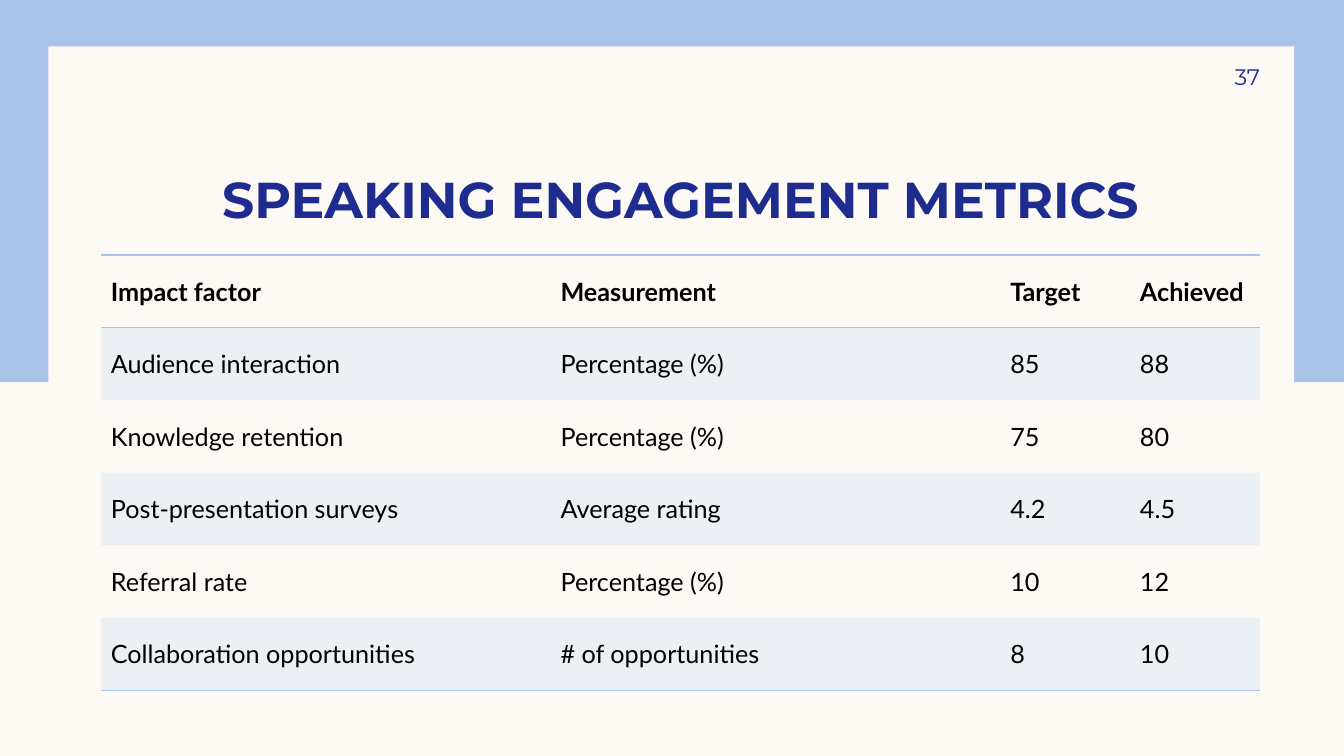
import dataclasses

import lxml.etree
import pptx
import pptx.dml.color
import pptx.enum.shapes
import pptx.enum.text
import pptx.oxml.ns
import pptx.util

# The slide is a grid of square cells; boxes are (left, top, columns, rows).
GRID_COLUMNS, GRID_ROWS = 80, 45
CELL = pptx.util.Inches(7.5) / GRID_ROWS

BAND_BOX = (0, 0, GRID_COLUMNS, 22.74)
PANEL_BOX = (2.88, 2.76, 74.16, 39.54)
TITLE_BOX = (6, 6.96, 69, 6.66)
NUMBER_BOX = (67.98, 3, 7.02, 3.12)
TABLE_ORIGIN = (6, 15.18)
TABLE_COLUMNS = (26.77, 26.77, 7.72, 7.72)
TABLE_ROW = 4.32

METRICS = (
    ("Impact factor", "Measurement", "Target", "Achieved"),
    ("Audience interaction", "Percentage (%)", "85", "88"),
    ("Knowledge retention", "Percentage (%)", "75", "80"),
    ("Post-presentation surveys", "Average rating", "4.2", "4.5"),
    ("Referral rate", "Percentage (%)", "10", "12"),
    ("Collaboration opportunities", "# of opportunities", "8", "10"),
)


@dataclasses.dataclass(frozen=True)
class Theme:
    paper: str = "FDFAF6"
    accent: str = "AAC3E8"
    heading: str = "1F2C8F"
    body: str = "000000"
    heading_font: str = "Montserrat"
    body_font: str = "Lato"
    title_size: int = 36
    number_size: int = 16
    table_size: int = 18
    rule_width: int = 1
    stripe_opacity: int = 20


THEME = Theme()


def grid(count):
    return pptx.util.Emu(round(count * CELL))


def paint(fill, color):
    fill.solid()
    fill.fore_color.rgb = pptx.dml.color.RGBColor.from_string(color)


def style_font(font, name, size, color, bold=False):
    font.name = name
    font.size = pptx.util.Pt(size)
    font.bold = bold
    font.color.rgb = pptx.dml.color.RGBColor.from_string(color)


def add_block(slide, box, color):
    shape = slide.shapes.add_shape(
        pptx.enum.shapes.MSO_SHAPE.RECTANGLE, *map(grid, box))
    shape.shadow.inherit = False
    shape.line.fill.background()
    paint(shape.fill, color)


def add_heading(slide, box, text, size, alignment, anchor, margins, bold=False):
    """Add a heading-font text box; margins are left, top, right, bottom inches."""
    frame = slide.shapes.add_textbox(*map(grid, box)).text_frame
    frame.word_wrap = True
    frame.vertical_anchor = anchor
    (frame.margin_left, frame.margin_top,
     frame.margin_right, frame.margin_bottom) = map(pptx.util.Inches, margins)
    paragraph = frame.paragraphs[0]
    paragraph.text = text
    paragraph.alignment = alignment
    style_font(paragraph.font, THEME.heading_font, size, THEME.heading, bold)


def add_child(parent, tag, **attributes):
    return lxml.etree.SubElement(parent, pptx.oxml.ns.qn(tag), attributes)


def set_borders(cell, ruled_edges):
    """Rule the named edges (T, B) and clear the others; call before filling."""
    properties = cell._tc.get_or_add_tcPr()
    for edge in "LRTB":
        width = pptx.util.Pt(THEME.rule_width) if edge in ruled_edges else 0
        line = add_child(properties, f"a:ln{edge}", w=str(int(width)))
        if edge in ruled_edges:
            fill = add_child(line, "a:solidFill")
            add_child(fill, "a:srgbClr", val=THEME.accent)
        else:
            add_child(line, "a:noFill")


def fill_stripe(cell):
    paint(cell.fill, THEME.accent)
    color = cell._tc.tcPr.find(".//" + pptx.oxml.ns.qn("a:solidFill") + "[last()]")
    color = cell._tc.tcPr.find(pptx.oxml.ns.qn("a:solidFill"))[0]
    add_child(color, "a:alpha", val=str(THEME.stripe_opacity * 1000))


def add_metrics_table(slide, origin, column_spans, row_span, records):
    """Add a table ruled around its header and at its foot, with odd rows striped."""
    table = slide.shapes.add_table(
        len(records), len(column_spans), *map(grid, origin),
        grid(sum(column_spans)), grid(row_span * len(records))).table
    table.first_row = table.horz_banding = False
    for column, span in zip(table.columns, column_spans):
        column.width = grid(span)
    ruled = (0, 1, len(records))
    for index, record in enumerate(records):
        table.rows[index].height = grid(row_span)
        edges = [edge for edge, position in (("T", index), ("B", index + 1))
                 if position in ruled]
        for cell, text in zip(table.rows[index].cells, record):
            cell.text = text
            cell.vertical_anchor = pptx.enum.text.MSO_ANCHOR.MIDDLE
            style_font(cell.text_frame.paragraphs[0].font, THEME.body_font,
                       THEME.table_size, THEME.body, bold=index == 0)
            set_borders(cell, edges)
            if index % 2:
                fill_stripe(cell)
            else:
                cell.fill.background()


def main():
    presentation = pptx.Presentation()
    presentation.slide_width = grid(GRID_COLUMNS)
    presentation.slide_height = grid(GRID_ROWS)
    slide = presentation.slides.add_slide(presentation.slide_layouts[6])
    paint(slide.background.fill, THEME.paper)

    add_block(slide, BAND_BOX, THEME.accent)
    add_block(slide, PANEL_BOX, THEME.paper)
    add_heading(slide, TITLE_BOX, "SPEAKING ENGAGEMENT METRICS", THEME.title_size,
                pptx.enum.text.PP_ALIGN.CENTER, pptx.enum.text.MSO_ANCHOR.BOTTOM,
                (0.1, 0, 0.1, 0), bold=True)
    add_metrics_table(slide, TABLE_ORIGIN, TABLE_COLUMNS, TABLE_ROW, METRICS)
    add_heading(slide, NUMBER_BOX, "37", THEME.number_size,
                pptx.enum.text.PP_ALIGN.RIGHT, pptx.enum.text.MSO_ANCHOR.MIDDLE,
                (0.1, 0.05, 0, 0.05))
    presentation.save("out.pptx")


if __name__ == "__main__":
    main()
